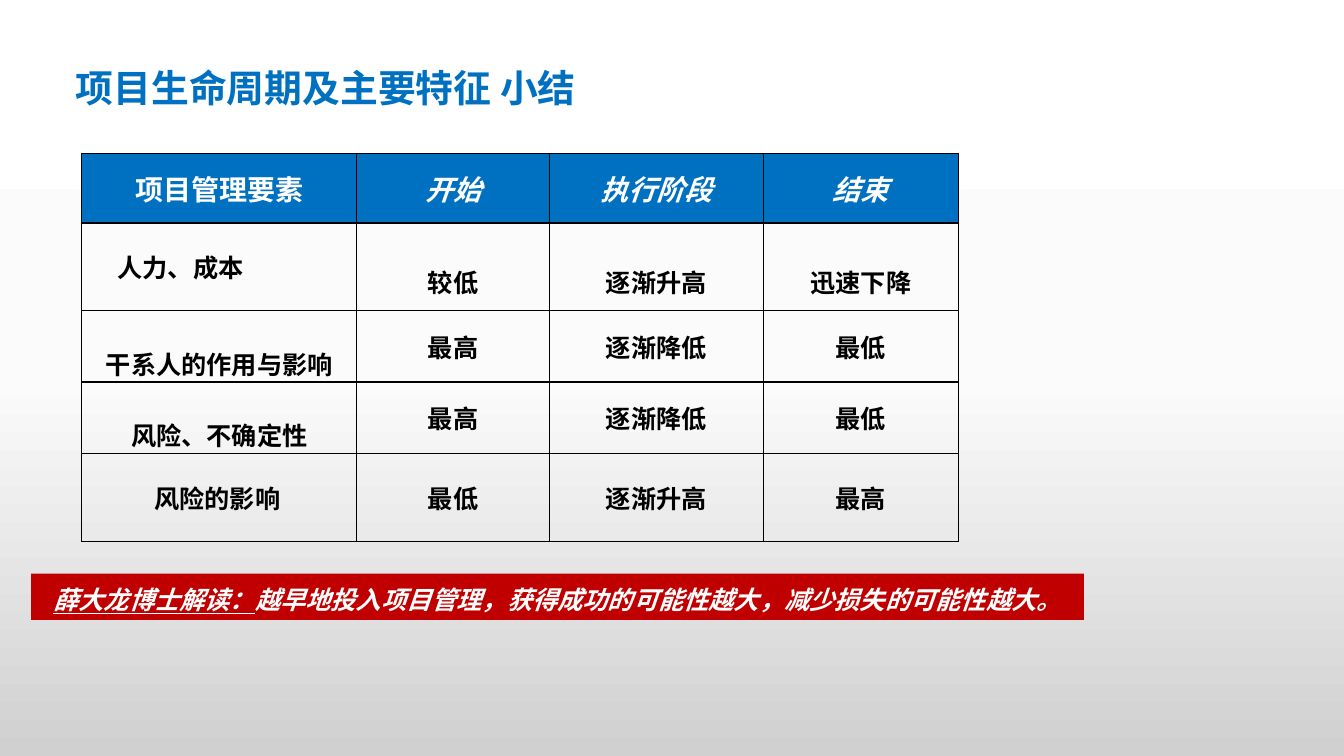
from copy import deepcopy

from lxml.etree import SubElement
from pptx import Presentation
from pptx.dml.color import RGBColor
from pptx.enum.shapes import MSO_SHAPE
from pptx.enum.text import MSO_ANCHOR, MSO_AUTO_SIZE, PP_ALIGN
from pptx.oxml import parse_xml
from pptx.oxml.ns import nsdecls, qn
from pptx.util import Inches, Pt

BLUE = RGBColor(0x00, 0x70, 0xC0)
RED = RGBColor(0xC0, 0x00, 0x00)
WHITE = RGBColor(0xFF, 0xFF, 0xFF)
BLACK = RGBColor(0x00, 0x00, 0x00)
BACKDROP = [WHITE, RGBColor(0xFB, 0xFB, 0xFB), RGBColor(0xD0, 0xD0, 0xD0)]
CJK = "Noto Sans CJK SC"

COLUMN_WIDTHS = [2.73, 1.91, 2.12, 1.94]
ROW_HEIGHTS = [0.69, 0.87, 0.71, 0.71, 0.87]
ELEMENTS = [
    ["项目管理要素", "开始", "执行阶段", "结束"],
    ["人力、成本", "较低", "逐渐升高", "迅速下降"],
    ["干系人的作用与影响", "最高", "逐渐降低", "最低"],
    ["风险、不确定性", "最高", "逐渐降低", "最低"],
    ["风险的影响", "最低", "逐渐升高", "最高"],
]
# (row, column): (left, top, right) insets of cells whose text sits off centre
CELL_INSETS = {
    (1, 0): (0, 0, 0.77),
    (1, 1): (0, 0.29, 0),
    (1, 2): (0, 0.29, 0),
    (1, 3): (0, 0.29, 0),
    (2, 0): (0, 0.34, 0),
    (3, 0): (0, 0.34, 0),
    (4, 0): (0.72, 0, 0),
}


def add_run(paragraph, text, size, color, font=CJK, italic=False, underline=False):
    run = paragraph.add_run()
    run.text = text
    run.font.name = font
    run.font.size = Pt(size)
    run.font.bold = True
    run.font.italic = italic
    run.font.underline = underline
    run.font.color.rgb = color
    SubElement(run.font._element, qn("a:ea"), typeface=CJK)


def set_backdrop(slide):
    """Fill the background with a three-stop gradient from top to bottom."""
    fill = slide.background.fill
    fill.gradient()
    fill.gradient_angle = 270
    stop_list = slide.element.find(".//" + qn("a:gsLst"))
    stop_list.append(deepcopy(stop_list[-1]))
    for index, (stop, color) in enumerate(zip(fill.gradient_stops, BACKDROP)):
        stop.position = index / 2
        stop.color.rgb = color


def add_title(slide, text):
    title = slide.shapes.title
    title.left, title.top = Inches(0.65), Inches(0.59)
    title.width, title.height = Inches(9.78), Inches(0.62)
    frame = title.text_frame
    frame.auto_size = MSO_AUTO_SIZE.NONE
    frame.vertical_anchor = MSO_ANCHOR.MIDDLE
    paragraph = frame.paragraphs[0]
    paragraph.alignment = PP_ALIGN.LEFT
    paragraph.line_spacing = 0.9
    add_run(paragraph, text, 27, BLUE, "Cambria")


def set_borders(cell, top, bottom):
    """Draw black cell borders; top and bottom are widths in points."""
    widths = {"lnL": 1, "lnR": 1, "lnT": top, "lnB": bottom}
    properties = cell._tc.get_or_add_tcPr()
    for index, (side, width) in enumerate(widths.items()):
        border = parse_xml(
            f'<a:{side} {nsdecls("a")} w="{Pt(width)}"><a:solidFill>'
            f'<a:srgbClr val="{BLACK}"/></a:solidFill></a:{side}>'
        )
        properties.insert(index, border)


def fill_cell(cell, row, column, text):
    is_header = row == 0
    left, top, right = CELL_INSETS.get((row, column), (0, 0, 0))
    cell.margin_left, cell.margin_right = Inches(left), Inches(right)
    cell.margin_top, cell.margin_bottom = Inches(top), Inches(0)
    cell.vertical_anchor = MSO_ANCHOR.MIDDLE
    if is_header:
        cell.fill.solid()
        cell.fill.fore_color.rgb = BLUE
    else:
        cell.fill.background()
    set_borders(cell, top=2 if row == 1 else 1, bottom=2 if is_header else 1)
    paragraph = cell.text_frame.paragraphs[0]
    paragraph.alignment = PP_ALIGN.LEFT if left else PP_ALIGN.CENTER
    add_run(
        paragraph,
        text,
        20 if is_header else 18,
        WHITE if is_header else BLACK,
        italic=is_header and column > 0,
    )


def add_element_table(slide):
    table = slide.shapes.add_table(
        len(ROW_HEIGHTS), len(COLUMN_WIDTHS),
        Inches(0.81), Inches(1.52),
        Inches(sum(COLUMN_WIDTHS)), Inches(sum(ROW_HEIGHTS)),
    ).table
    table.horz_banding = False
    for column, width in zip(table.columns, COLUMN_WIDTHS):
        column.width = Inches(width)
    for row, height in zip(table.rows, ROW_HEIGHTS):
        row.height = Inches(height)
    for row, texts in enumerate(ELEMENTS):
        for column, text in enumerate(texts):
            fill_cell(table.cell(row, column), row, column, text)


def add_advice_band(slide):
    band = slide.shapes.add_shape(
        MSO_SHAPE.RECTANGLE, Inches(0.31), Inches(5.69), Inches(10.44), Inches(0.46)
    )
    band.shadow.inherit = False
    band.fill.solid()
    band.fill.fore_color.rgb = RED
    band.line.fill.background()
    frame = band.text_frame
    frame.word_wrap = True
    frame.vertical_anchor = MSO_ANCHOR.TOP
    paragraph = frame.paragraphs[0]
    paragraph.alignment = PP_ALIGN.CENTER
    paragraph.line_spacing = 1.2
    add_run(paragraph, "薛大龙博士解读：", 18, WHITE, "Calibri", italic=True, underline=True)
    advice = "越早地投入项目管理，获得成功的可能性越大，减少损失的可能性越大"
    add_run(paragraph, advice, 18, WHITE, italic=True)
    add_run(paragraph, "。", 18, WHITE, "Cambria", italic=True)


def main():
    presentation = Presentation()
    presentation.slide_width = Inches(13.33)
    presentation.slide_height = Inches(7.5)
    title_only = presentation.slide_layouts[5]
    slide = presentation.slides.add_slide(title_only)
    set_backdrop(slide)
    add_title(slide, "项目生命周期及主要特征 小结")
    add_element_table(slide)
    add_advice_band(slide)
    presentation.save("out.pptx")


if __name__ == "__main__":
    main()
